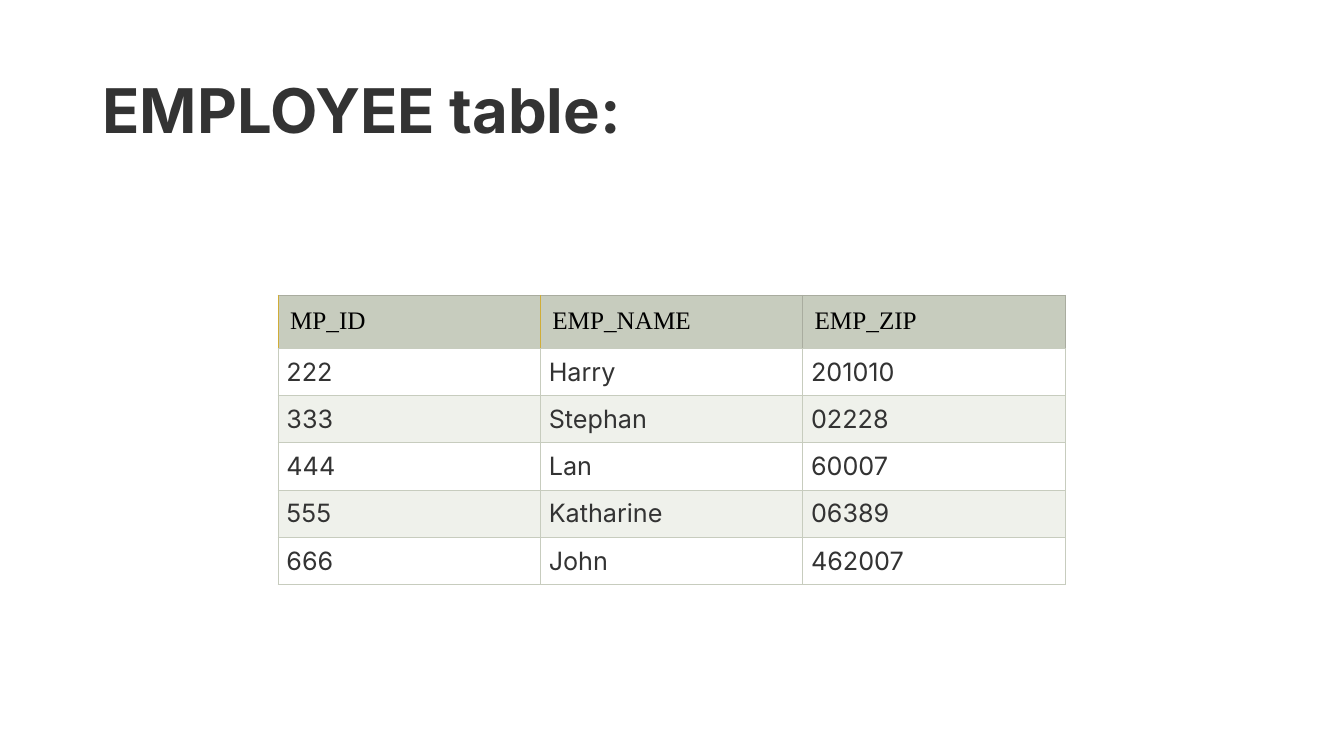
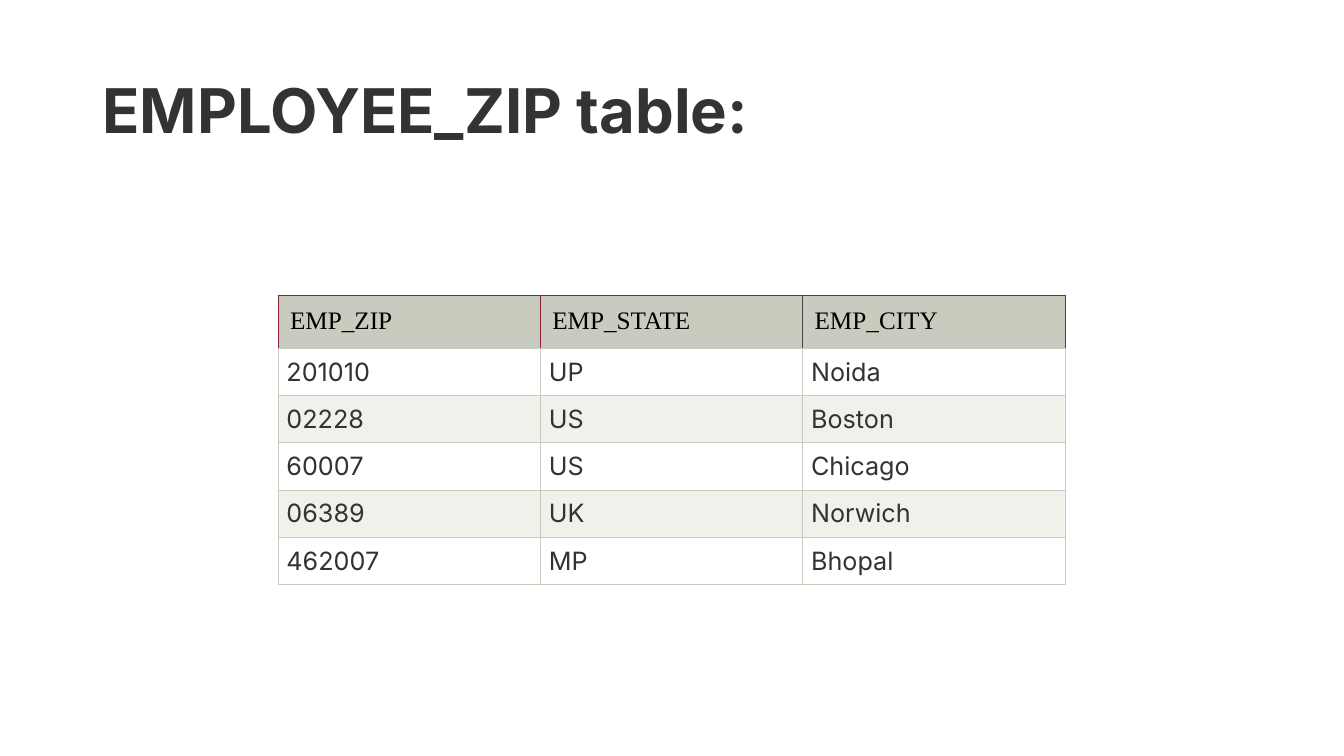
from dataclasses import dataclass

from lxml import etree
from pptx import Presentation
from pptx import util as u
from pptx.dml.color import RGBColor
from pptx.enum import text
from pptx.oxml import ns
from pptx.slide import Slide
from pptx.table import _Cell

COLORS = {
    "text": "333333",
    "header_text": "000000",
    "header": "C7CCBE",
    "grid": "C7CCBE",
    "odd": "FFFFFF",
    "even": "EFF1EB",
    "gold": "D0AD38",
    "sage": "A9AC9F",
    "wine": "901D39",
    "charcoal": "444444",
}
FONT = "Inter"
HEADER_FONT = "Times New Roman"
TABLE_LEFT, TABLE_TOP = 7.01, 7.44
COL_WIDTH = 6.61
HEADER_HEIGHT, ROW_HEIGHT = 1.34, 1.19


@dataclass
class TableSlide:
    title: str
    accent: str
    frame: str
    rows: list[tuple[str, ...]]


@dataclass
class CellStyle:
    font: str
    color: str
    fill: str
    inset: float
    align: text.PP_ALIGN


HEADER = CellStyle(HEADER_FONT, "header_text", "header", 0.3, text.PP_ALIGN.LEFT)
BODY = [
    CellStyle(FONT, "text", fill, 0.21, text.PP_ALIGN.JUSTIFY)
    for fill in ("even", "odd")
]

SLIDES = [
    TableSlide("EMPLOYEE table:", "gold", "sage", [
        ("MP_ID", "EMP_NAME", "EMP_ZIP"),
        ("222", "Harry", "201010"),
        ("333", "Stephan", "02228"),
        ("444", "Lan", "60007"),
        ("555", "Katharine", "06389"),
        ("666", "John", "462007"),
    ]),
    TableSlide("EMPLOYEE_ZIP table:", "wine", "charcoal", [
        ("EMP_ZIP", "EMP_STATE", "EMP_CITY"),
        ("201010", "UP", "Noida"),
        ("02228", "US", "Boston"),
        ("60007", "US", "Chicago"),
        ("06389", "UK", "Norwich"),
        ("462007", "MP", "Bhopal"),
    ]),
]


def rgb(name: str) -> RGBColor:
    return RGBColor.from_string(COLORS[name])


def set_borders(cell: _Cell, left: str, right: str, top: str, bottom: str) -> None:
    props = cell._tc.get_or_add_tcPr()
    sides = (("L", left), ("R", right), ("T", top), ("B", bottom))
    for i, (side, color) in enumerate(sides):
        line = etree.Element(ns.qn(f"a:ln{side}"), w=str(u.Pt(0.75)))
        fill = etree.SubElement(line, ns.qn("a:solidFill"))
        etree.SubElement(fill, ns.qn("a:srgbClr"), val=COLORS[color])
        props.insert(i, line)


def fill_cell(cell: _Cell, value: str, style: CellStyle) -> None:
    cell.fill.solid()
    cell.fill.fore_color.rgb = rgb(style.fill)
    inset = u.Cm(style.inset)
    cell.margin_left = cell.margin_right = inset
    cell.margin_top = cell.margin_bottom = inset
    cell.text = value
    p = cell.text_frame.paragraphs[0]
    p.alignment = style.align
    p.font.name = style.font
    p.font.size = u.Pt(18)
    p.font.color.rgb = rgb(style.color)


def add_title(s: Slide, title: str) -> None:
    sp = s.shapes.title
    sp.left, sp.top = u.Cm(2.33), u.Cm(1.02)
    sp.width, sp.height = u.Cm(29.21), u.Cm(3.68)
    tf = sp.text_frame
    tf.text = title
    tf.word_wrap = True
    tf.auto_size = text.MSO_AUTO_SIZE.NONE
    tf.vertical_anchor = text.MSO_ANCHOR.MIDDLE
    p = tf.paragraphs[0]
    p.alignment = text.PP_ALIGN.LEFT
    p.line_spacing = 0.9
    p.font.name = FONT
    p.font.size = u.Pt(44)
    p.font.bold = True
    p.font.color.rgb = rgb("text")


def add_data_table(s: Slide, data: TableSlide) -> None:
    n_rows, n_cols = len(data.rows), len(data.rows[0])
    height = HEADER_HEIGHT + ROW_HEIGHT * (n_rows - 1)
    table = s.shapes.add_table(
        n_rows, n_cols, u.Cm(TABLE_LEFT), u.Cm(TABLE_TOP),
        u.Cm(COL_WIDTH * n_cols), u.Cm(height),
    ).table
    table.horz_banding = table.first_row = False
    for col in table.columns:
        col.width = u.Cm(COL_WIDTH)
    header_lines = [data.accent] * (n_cols - 1) + [data.frame] * 2
    for i, row in enumerate(data.rows):
        table.rows[i].height = u.Cm(ROW_HEIGHT if i else HEADER_HEIGHT)
        style = BODY[i % 2] if i else HEADER
        lines = ["grid"] * (n_cols + 1) if i else header_lines
        top = "grid" if i else data.frame
        for j, value in enumerate(row):
            cell = table.cell(i, j)
            fill_cell(cell, value, style)
            set_borders(cell, lines[j], lines[j + 1], top, "grid")


def main() -> None:
    prs = Presentation()
    prs.slide_width, prs.slide_height = u.Cm(33.87), u.Cm(19.05)
    for data in SLIDES:
        s = prs.slides.add_slide(prs.slide_layouts[5])
        add_title(s, data.title)
        add_data_table(s, data)
    prs.save("out.pptx")


if __name__ == "__main__":
    main()
